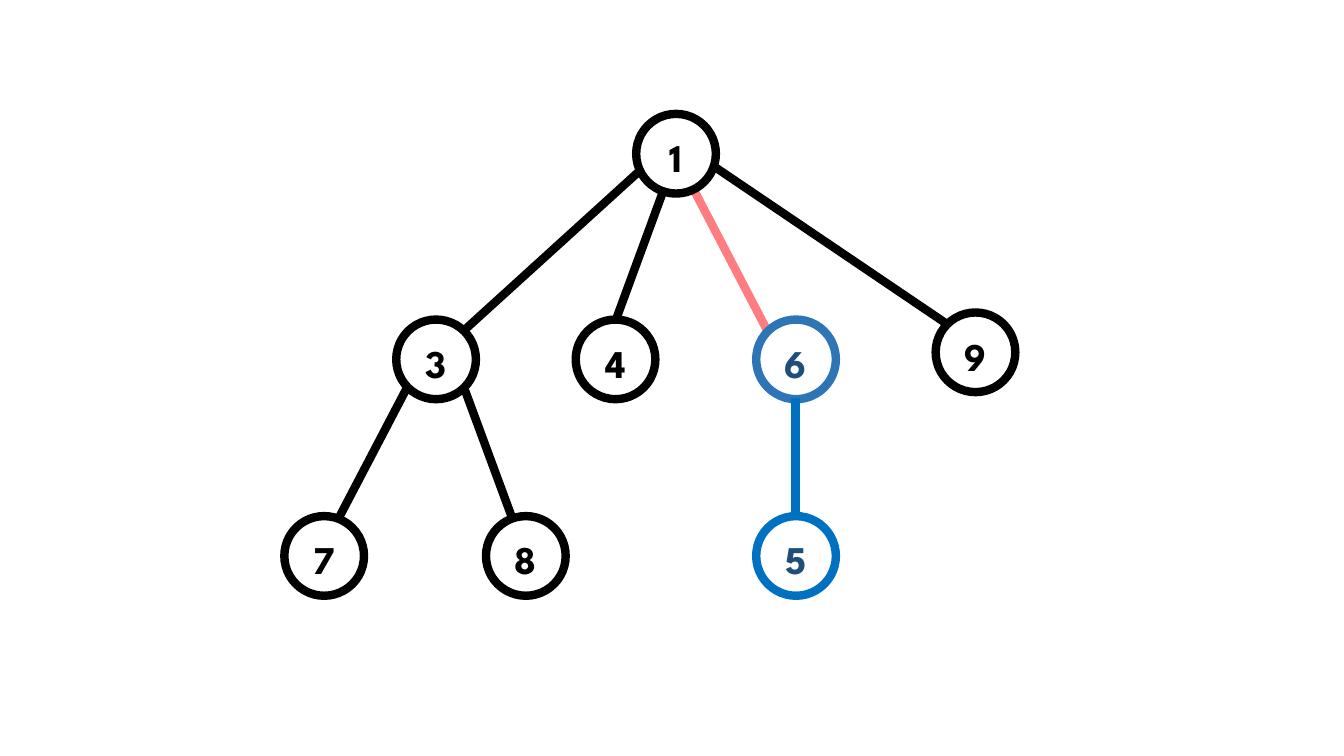
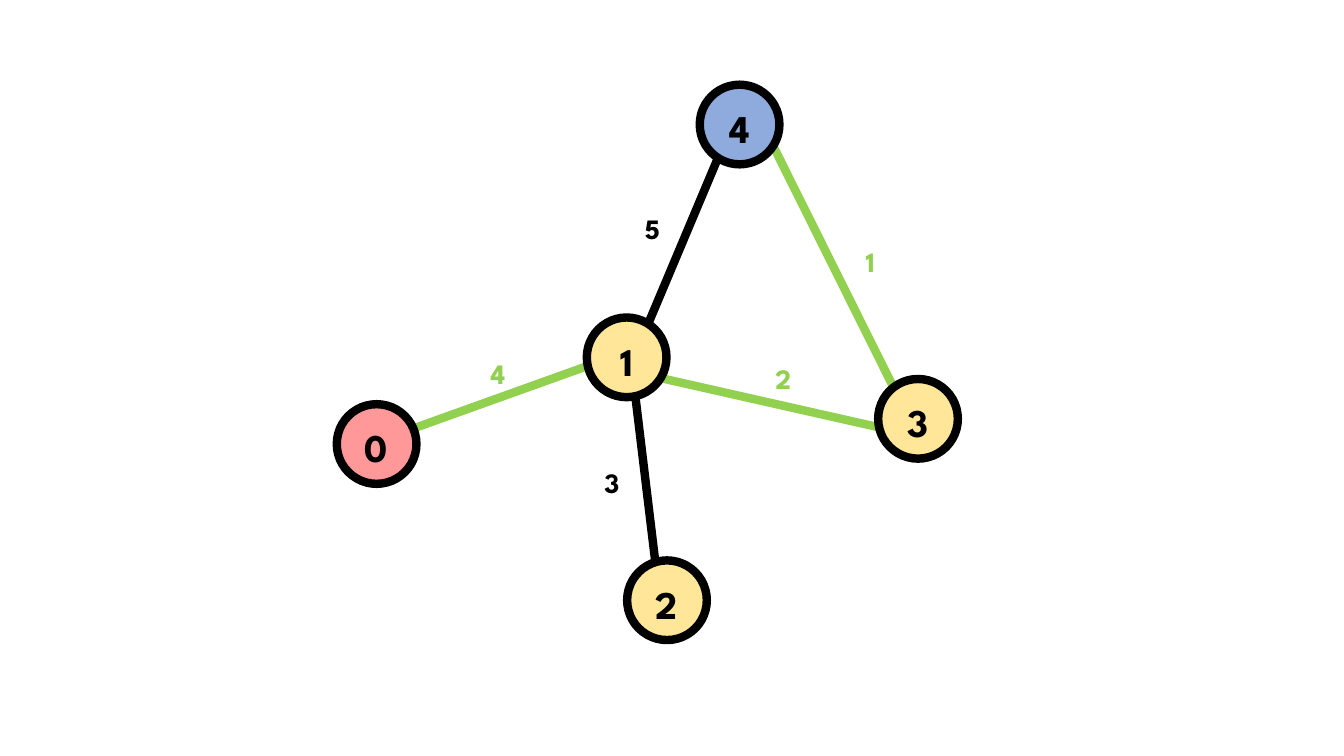
from lxml import etree
from pptx import Presentation
from pptx import util as u
from pptx.dml.color import RGBColor
from pptx.enum import shapes, text
from pptx.oxml.ns import qn

COLORS = {
    "black": "000000", "red": "FF7C80", "steel": "2E75B6", "navy": "1F4E79",
    "blue": "0070C0", "green": "92D050", "yellow": "FFE699", "pink": "FF9999",
    "sky": "8FAADC",
}
FONT = "League Spartan"
STROKE = u.Pt(6)
NODE = 0.79
NODE_LABEL = (0.5, 0.57)
LABEL_OFFSET = (0.145, 0.145)
WEIGHT_LABEL = (0.76, 0.44)

TREE = {
    "box": (2.82, 1.13),
    "edges_behind": [((4.79, 2.15), (4.06, 0.75), "red")],
    "nodes": [
        ("3", (1.11, 2.04), None, "black", "black"),
        ("1", (3.49, 0), None, "black", "black"),
        ("7", (0, 3.99), None, "black", "black"),
        ("6", (4.68, 2.04), None, "steel", "navy"),
        ("4", (2.89, 2.04), None, "black", "black"),
        ("8", (2, 3.99), None, "black", "black"),
        ("5", (4.68, 3.99), None, "blue", "navy"),
        ("9", (6.46, 1.97), None, "black", "black"),
    ],
    "edges_front": [
        ((1.78, 2.15), (3.53, 0.56), "black"),
        ((3.29, 2.04), (3.76, 0.76), "black"),
        ((2.26, 4.01), (1.78, 2.71), "black"),
        ((0.54, 4.01), (1.22, 2.71), "black"),
        ((5.07, 3.99), (5.07, 2.82), "blue"),
        ((6.58, 2.09), (4.26, 0.52), "black"),
    ],
    "weights": [],
}

WEIGHTED_GRAPH = {
    "box": (3.34, 0.84),
    "edges_behind": [
        ((4.33, 0.61), (5.51, 2.98), "green"),
        ((3.21, 2.91), (5.38, 3.4), "green"),
        ((3.16, 4.74), (2.96, 3.08), "black"),
        ((3.09, 2.37), (3.78, 0.73), "black"),
        ((2.49, 2.79), (0.79, 3.4), "green"),
    ],
    "nodes": [
        ("1", (2.48, 2.31), "yellow", "black", "black"),
        ("0", (0, 3.17), "pink", "black", "black"),
        ("2", (2.88, 4.72), "yellow", "black", "black"),
        ("4", (3.6, 0), "sky", "black", "black"),
        ("3", (5.37, 2.92), "yellow", "black", "black"),
    ],
    "edges_front": [],
    "weights": [
        ("4", (1.22, 2.65), "green"),
        ("3", (2.35, 3.73), "black"),
        ("5", (2.75, 1.21), "black"),
        ("1", (4.91, 1.54), "green"),
        ("2", (4.05, 2.7), "green"),
    ],
}


def rgb(name):
    return RGBColor.from_string(COLORS[name])


def place(origin, offset):
    return tuple(u.Inches(a + b) for a, b in zip(origin, offset))


def add_label(s, label, at, size, points, color):
    sp = s.shapes.add_textbox(*at, u.Inches(size[0]), u.Inches(size[1]))
    tf = sp.text_frame
    tf.word_wrap = True
    tf.auto_size = text.MSO_AUTO_SIZE.SHAPE_TO_FIT_TEXT
    p = tf.paragraphs[0]
    p.text = label
    p.alignment = text.PP_ALIGN.CENTER
    p.font.name = FONT
    p.font.size = u.Pt(points)
    p.font.bold = True
    p.font.color.rgb = rgb(color)


def add_node(s, box, label, offset, fill, line, color):
    at = place(box, offset)
    sp = s.shapes.add_shape(shapes.MSO_SHAPE.OVAL, *at, u.Inches(NODE), u.Inches(NODE))
    sp.shadow.inherit = False
    if fill:
        sp.fill.solid()
        sp.fill.fore_color.rgb = rgb(fill)
    else:
        sp.fill.background()
    sp.line.color.rgb = rgb(line)
    sp.line.width = STROKE
    label_at = [a + u.Inches(d) for a, d in zip(at, LABEL_OFFSET)]
    add_label(s, label, label_at, NODE_LABEL, 28, color)


def add_edge(s, box, start, end, color):
    line = s.shapes.add_connector(
        shapes.MSO_CONNECTOR.STRAIGHT, *place(box, start), *place(box, end))
    line.line.color.rgb = rgb(color)
    line.line.width = STROKE
    etree.SubElement(line._element.spPr, qn("a:effectLst"))


def add_graph(s, box, edges_behind, nodes, edges_front, weights):
    for edge in edges_behind:
        add_edge(s, box, *edge)
    for node in nodes:
        add_node(s, box, *node)
    for edge in edges_front:
        add_edge(s, box, *edge)
    for label, offset, color in weights:
        add_label(s, label, place(box, offset), WEIGHT_LABEL, 20, color)


def main():
    prs = Presentation()
    prs.slide_width = u.Inches(13.33)
    prs.slide_height = u.Inches(7.5)
    for graph in (TREE, WEIGHTED_GRAPH):
        s = prs.slides.add_slide(prs.slide_layouts[6])
        add_graph(s, **graph)
    prs.save("out.pptx")


if __name__ == "__main__":
    main()
